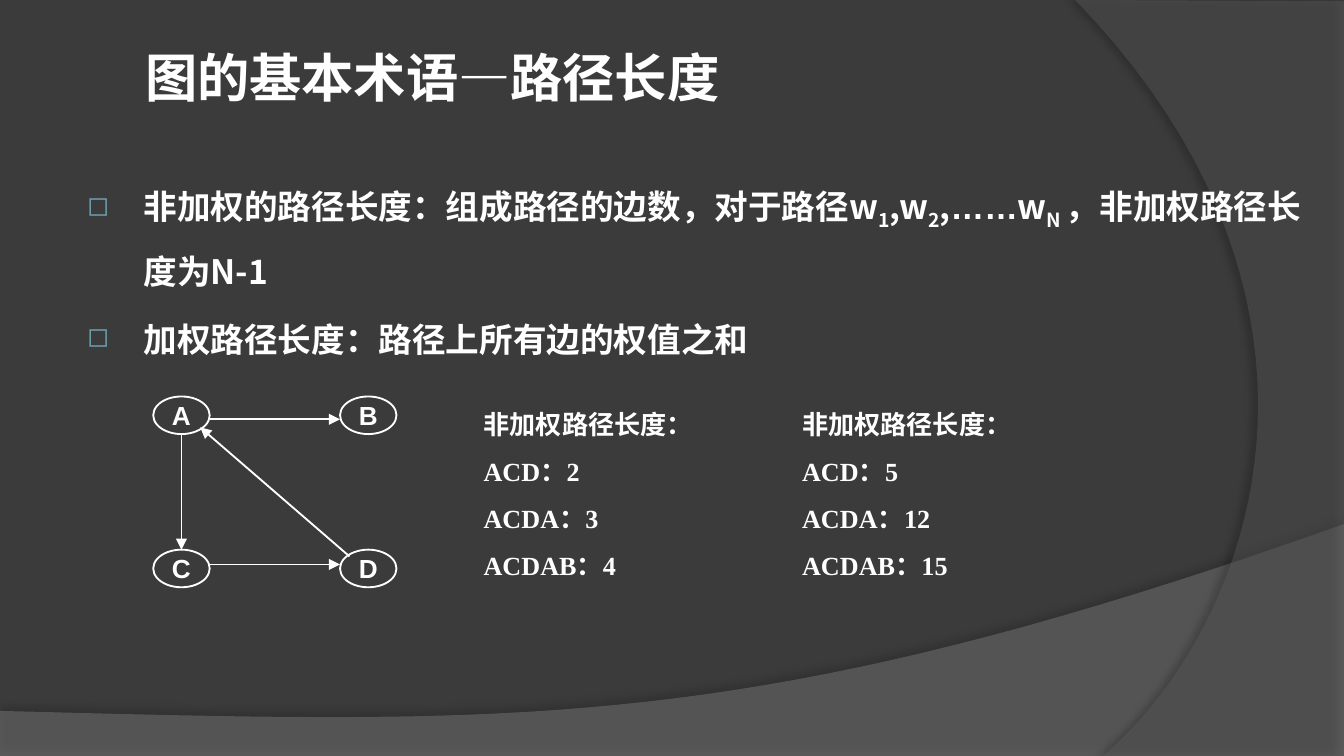
from lxml.etree import SubElement
from pptx import Presentation
from pptx.dml.color import RGBColor
from pptx.enum.shapes import MSO_CONNECTOR, MSO_SHAPE
from pptx.enum.text import MSO_ANCHOR, MSO_AUTO_SIZE, PP_ALIGN
from pptx.oxml.ns import qn
from pptx.util import Inches, Pt

COLORS = {"back": "3B3B3B", "text": "FFFFFF", "wave": "7F7F7F",
          "side": "5E5E5E", "mark": "6EA0B0", "shade": "000000"}
SANS = "Noto Sans CJK SC"
ARIAL = "Arial"
TIMES = "Times New Roman"
WIDE = 10
HIGH = 45 / 8


def tint(name):
    return RGBColor.from_string(COLORS[name])


def add_tag(parent, tag, **attrs):
    return SubElement(parent, qn(tag), {key: str(val) for key, val in attrs.items()})


def curve(start, one, two, end, steps=40):
    points = []
    for step in range(1, steps + 1):
        t = step / steps
        u = 1 - t
        points.append(tuple(
            u ** 3 * a + 3 * u * u * t * b + 3 * u * t * t * c + t ** 3 * d
            for a, b, c, d in zip(start, one, two, end)))
    return points


class Painter:
    def __init__(self, slide):
        self.slide = slide
        self.shapes = slide.shapes
        fill = slide.background.fill
        fill.solid()
        fill.fore_color.rgb = tint("back")

    def add_run(self, para, text, size, font=SANS, base=0):
        run = para.add_run()
        run.text = text
        run.font.size = Pt(size)
        run.font.bold = True
        run.font.name = font
        run.font.color.rgb = tint("text")
        props = run.font._element
        add_tag(props, "a:ea", typeface=SANS)
        if base:
            props.set("baseline", str(base * 1000))

    def wave(self, points, color, alpha, shade, gap, angle):
        spots = [(Inches(x), Inches(y)) for x, y in points]
        pen = self.shapes.build_freeform(*spots[0])
        pen.add_line_segments(spots[1:], close=True)
        shape = pen.convert_to_shape()
        shape.fill.solid()
        shape.fill.fore_color.rgb = tint(color)
        shape.line.fill.background()
        shape.shadow.inherit = False
        props = shape._element.spPr
        add_tag(props.find(".//" + qn("a:srgbClr")), "a:alpha", val=alpha * 1000)
        glow = add_tag(props.find(qn("a:effectLst")), "a:outerShdw",
                       blurRad=Pt(4), dist=Pt(gap), dir=angle * 60000,
                       algn="ctr", rotWithShape=0)
        hue = add_tag(glow, "a:srgbClr", val=COLORS["shade"])
        add_tag(hue, "a:alpha", val=shade * 1000)

    def title(self, text, left, top, width, height):
        box = self.shapes.title
        box.left, box.top = Inches(left), Inches(top)
        box.width, box.height = Inches(width), Inches(height)
        frame = box.text_frame
        frame.word_wrap = True
        frame.auto_size = MSO_AUTO_SIZE.NONE
        frame.vertical_anchor = MSO_ANCHOR.TOP
        para = frame.paragraphs[0]
        para.alignment = PP_ALIGN.LEFT
        self.add_run(para, text, 28)

    def text(self, paras, left, top, width, height, size, mark=False):
        box = self.shapes.add_textbox(Inches(left), Inches(top),
                                      Inches(width), Inches(height))
        frame = box.text_frame
        frame.word_wrap = True
        for place, runs in enumerate(paras):
            para = frame.add_paragraph() if place else frame.paragraphs[0]
            para.line_spacing = 1.5
            if mark:
                self.bullet(para, size)
            for text, font, base in runs:
                self.add_run(para, text, size, font, base)

    def bullet(self, para, size):
        para.space_before = Pt(size * 0.2)
        props = para._p.get_or_add_pPr()
        props.set("marL", str(Inches(0.46)))
        props.set("indent", str(Inches(-0.42)))
        add_tag(add_tag(props, "a:buClr"), "a:srgbClr", val=COLORS["mark"])
        add_tag(props, "a:buSzPct", val=80000)
        add_tag(props, "a:buChar", char="◻")

    def node(self, name, left, top):
        shape = self.shapes.add_shape(MSO_SHAPE.OVAL, Inches(left), Inches(top),
                                      Inches(0.42), Inches(0.28))
        shape.shadow.inherit = False
        shape.fill.background()
        shape.line.color.rgb = tint("text")
        shape.line.width = Pt(1)
        frame = shape.text_frame
        frame.word_wrap = False
        frame.vertical_anchor = MSO_ANCHOR.MIDDLE
        para = frame.paragraphs[0]
        para.alignment = PP_ALIGN.CENTER
        self.add_run(para, name, 14, ARIAL)

    def arrow(self, *ends):
        line = self.shapes.add_connector(MSO_CONNECTOR.STRAIGHT,
                                         *[Inches(end) for end in ends])
        line.line.color.rgb = tint("text")
        line.line.width = Pt(1)
        props = line._element.spPr
        add_tag(props.find(qn("a:ln")), "a:tailEnd", type="triangle")
        add_tag(props, "a:effectLst")


def main():
    deck = Presentation()
    deck.slide_width, deck.slide_height = Inches(WIDE), Inches(HIGH)
    art = Painter(deck.slides.add_slide(deck.slide_layouts[5]))

    floor = curve((WIDE, 3.9), (5.59, 5.47), (3.91, 5.39), (0, 5.29))
    art.wave([(0, 5.29), (0, HIGH), (WIDE, HIGH), (WIDE, 3.9)] + floor,
             "wave", 45, 35, 3.5, 270)
    edge = curve((8.21, HIGH), (9.35, 4.64), (10.18, 2.25), (8, 0))
    art.wave([(WIDE, 0.01), (WIDE, HIGH), (8.21, HIGH)] + edge,
             "side", 40, 45, 4, 180)

    art.title("图的基本术语—路径长度", 0.98, 0.29, 5.43, 0.57)
    terms = [
        [("非加权的路径长度：组成路径的边数，对于路径w", SANS, 0),
         ("1", SANS, -25), (",w", SANS, 0), ("2", SANS, -25), (",", SANS, 0),
         ("……", ARIAL, 0), ("w", SANS, 0), ("N ", SANS, -25),
         ("，非加权路径长度为N-1", SANS, 0)],
        [("加权路径长度：路径上所有边的权值之和", SANS, 0)],
    ]
    art.text(terms, 0.51, 1.16, 9.29, 2.52, 18, mark=True)

    for place, name in enumerate("ABCD"):
        row, col = divmod(place, 2)
        art.node(name, 1.14 + 1.39 * col, 2.95 + 1.14 * row)
    for ends in [(1.56, 3.12, 2.53, 3.12), (1.56, 4.2, 2.53, 4.2),
                 (1.35, 3.23, 1.35, 4.09), (2.6, 4.14, 1.49, 3.18)]:
        art.arrow(*ends)

    routes = ["ACD", "ACDA", "ACDAB"]
    for left, sums in [(3.5, (2, 3, 4)), (5.87, (5, 12, 15))]:
        lines = ["非加权路径长度："]
        lines += [f"{route}：{total}" for route, total in zip(routes, sums)]
        art.text([[(line, TIMES, 0)] for line in lines], left, 2.87, 2.2, 1.51, 14)

    deck.save("out.pptx")


if __name__ == "__main__":
    main()
